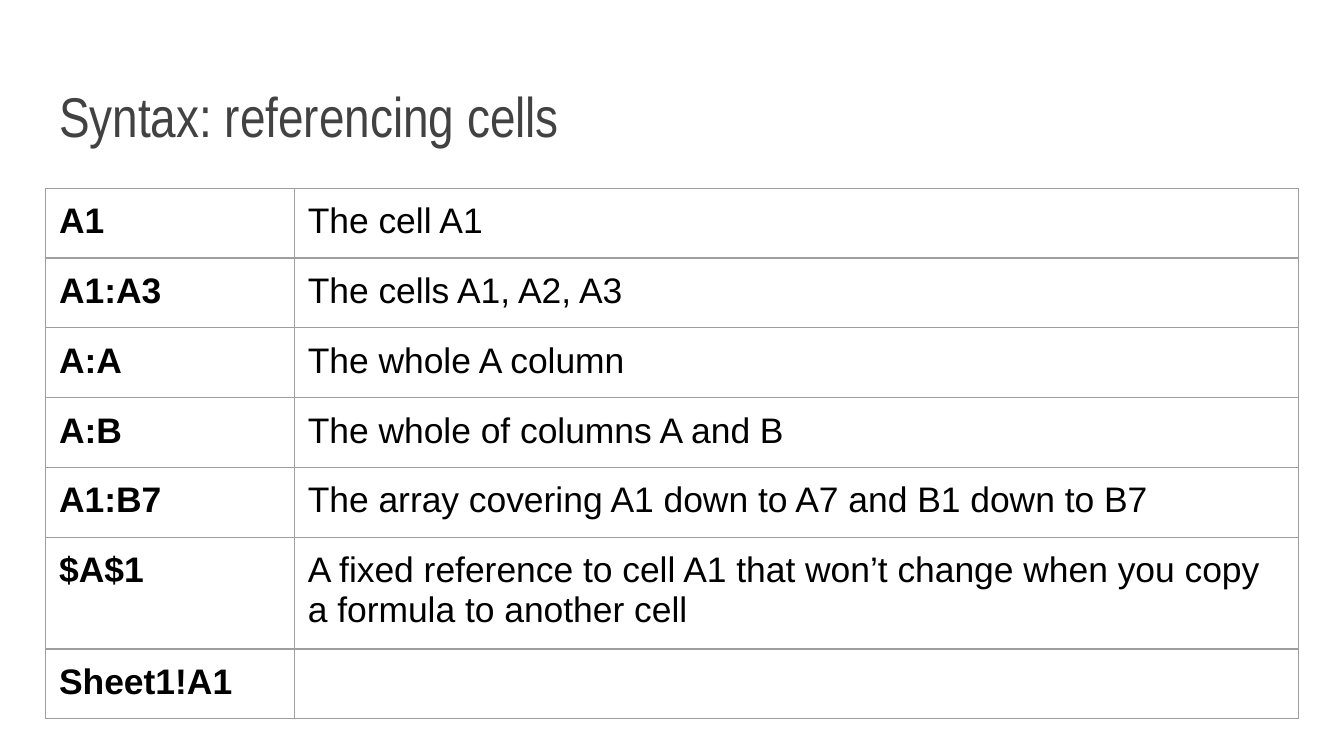
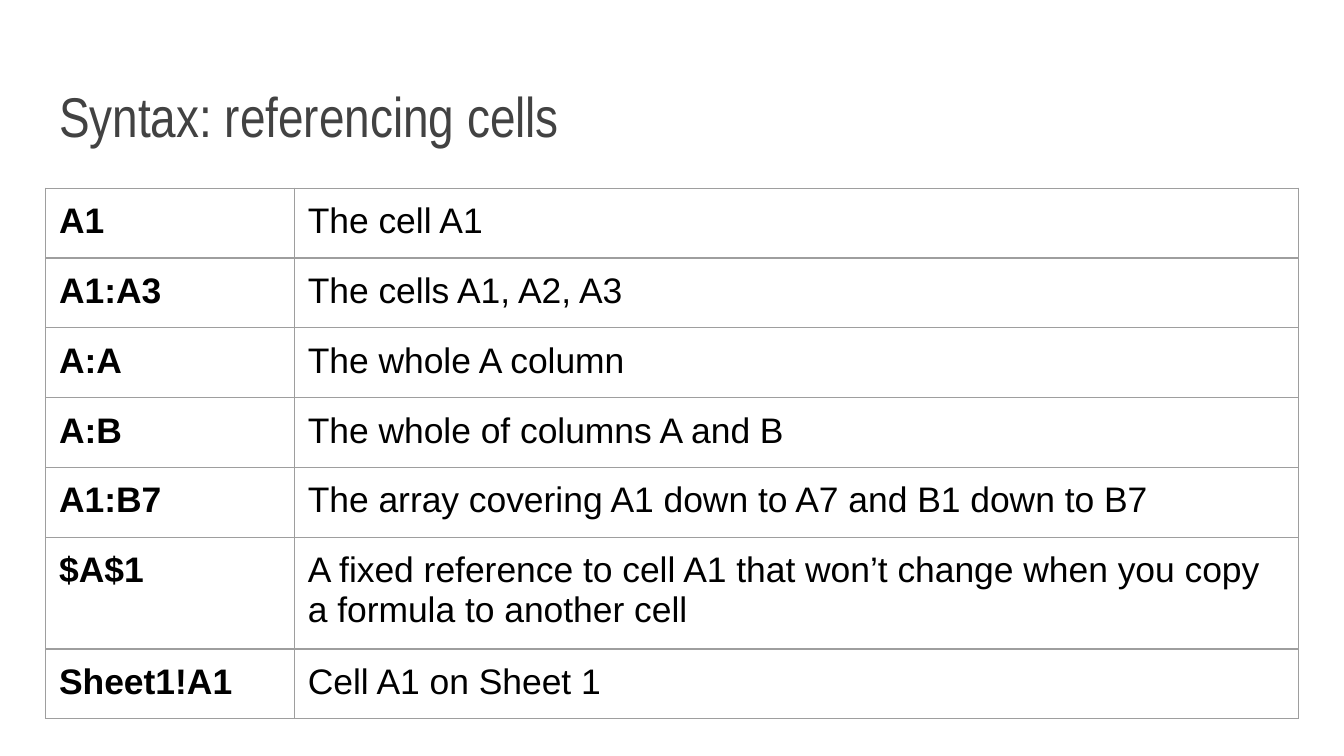
import pptx
import pptx.util
import pptx.dml.color
import pptx.enum.text
import pptx.oxml
import pptx.oxml.ns

Inches = pptx.util.Inches
Pt = pptx.util.Pt

COLORS = {"background": "FFFFFF", "title": "424242", "text": "000000", "border": "9E9E9E"}
TITLE_FONT, BODY_FONT = "Arial Narrow", "Arial"
LEFT, WIDTH, INSET = 0.34, 9.32, 0.1

# Content
TITLE = "Syntax: referencing cells"
REFERENCES = [
    ("A1", "The cell A1"),
    ("A1:A3", "The cells A1, A2, A3"),
    ("A:A", "The whole A column"),
    ("A:B", "The whole of columns A and B"),
    ("A1:B7", "The array covering A1 down to A7 and B1 down to B7"),
    ("$A$1", "A fixed reference to cell A1 that won’t change when you copy "
             "a formula to another cell"),
]
SHEET_ANSWERS = ["", "Cell A1 on Sheet 1"]
COLUMN_WIDTHS = [1.85, 7.47]
ROW_HEIGHTS = [0.52] * 5 + [0.83, 0.52]


class Deck:
    """Holds the shared style and the current slide."""

    def __init__(self):
        self.presentation = pptx.Presentation()
        # Widescreen, 16:9
        self.presentation.slide_width = Inches(10)
        self.presentation.slide_height = Inches(10 * 9 / 16)
        self.slide = None

    def color(self, name):
        return pptx.dml.color.RGBColor.from_string(COLORS[name])

    def new_slide(self):
        self.slide = self.presentation.slides.add_slide(self.presentation.slide_layouts[5])
        fill = self.slide.background.fill
        fill.solid()
        fill.fore_color.rgb = self.color("background")

    def inset(self, holder):
        holder.margin_left = holder.margin_right = Inches(INSET)
        holder.margin_top = holder.margin_bottom = Inches(INSET)

    def format_runs(self, paragraph, font_name, size, color, bold=False):
        paragraph.alignment = pptx.enum.text.PP_ALIGN.LEFT
        for run in paragraph.runs:
            run.font.name = font_name
            run.font.size = Pt(size)
            run.font.bold = bold
            run.font.color.rgb = self.color(color)

    def title(self, text):
        heading = self.slide.shapes.title
        heading.left, heading.top = Inches(LEFT), Inches(0.41)
        heading.width, heading.height = Inches(WIDTH), Inches(0.8)
        frame = heading.text_frame
        frame.text = text
        frame.word_wrap = True
        frame.auto_size = pptx.enum.text.MSO_AUTO_SIZE.NONE
        frame.vertical_anchor = pptx.enum.text.MSO_ANCHOR.BOTTOM
        self.inset(frame)
        self.format_runs(frame.paragraphs[0], TITLE_FONT, 30, "title")

    def cell_borders(self, cell):
        properties = cell._tc.get_or_add_tcPr()
        for side in ("lnL", "lnR", "lnT", "lnB"):
            properties.append(pptx.oxml.parse_xml(
                f'<a:{side} {pptx.oxml.ns.nsdecls("a")} w="{Pt(0.75)}"><a:solidFill>'
                f'<a:srgbClr val="{COLORS["border"]}"/></a:solidFill></a:{side}>'))

    def table(self, entries):
        grid = self.slide.shapes.add_table(
            len(entries), len(COLUMN_WIDTHS), Inches(LEFT), Inches(1.4),
            Inches(WIDTH), Inches(sum(ROW_HEIGHTS))).table
        grid.first_row = grid.horz_banding = False
        for column, width in zip(grid.columns, COLUMN_WIDTHS):
            column.width = Inches(width)
        for row, height, entry in zip(grid.rows, ROW_HEIGHTS, entries):
            row.height = Inches(height)
            for index, (cell, text) in enumerate(zip(row.cells, entry)):
                self.inset(cell)
                self.cell_borders(cell)
                cell.fill.background()
                if text:
                    cell.text_frame.text = text
                    self.format_runs(cell.text_frame.paragraphs[0], BODY_FONT, 19,
                                     "text", bold=index == 0)


def main():
    deck = Deck()
    # The last meaning is blank first, then revealed
    for sheet_answer in SHEET_ANSWERS:
        deck.new_slide()
        deck.title(TITLE)
        deck.table(REFERENCES + [("Sheet1!A1", sheet_answer)])
    deck.presentation.save("out.pptx")


if __name__ == "__main__":
    main()
